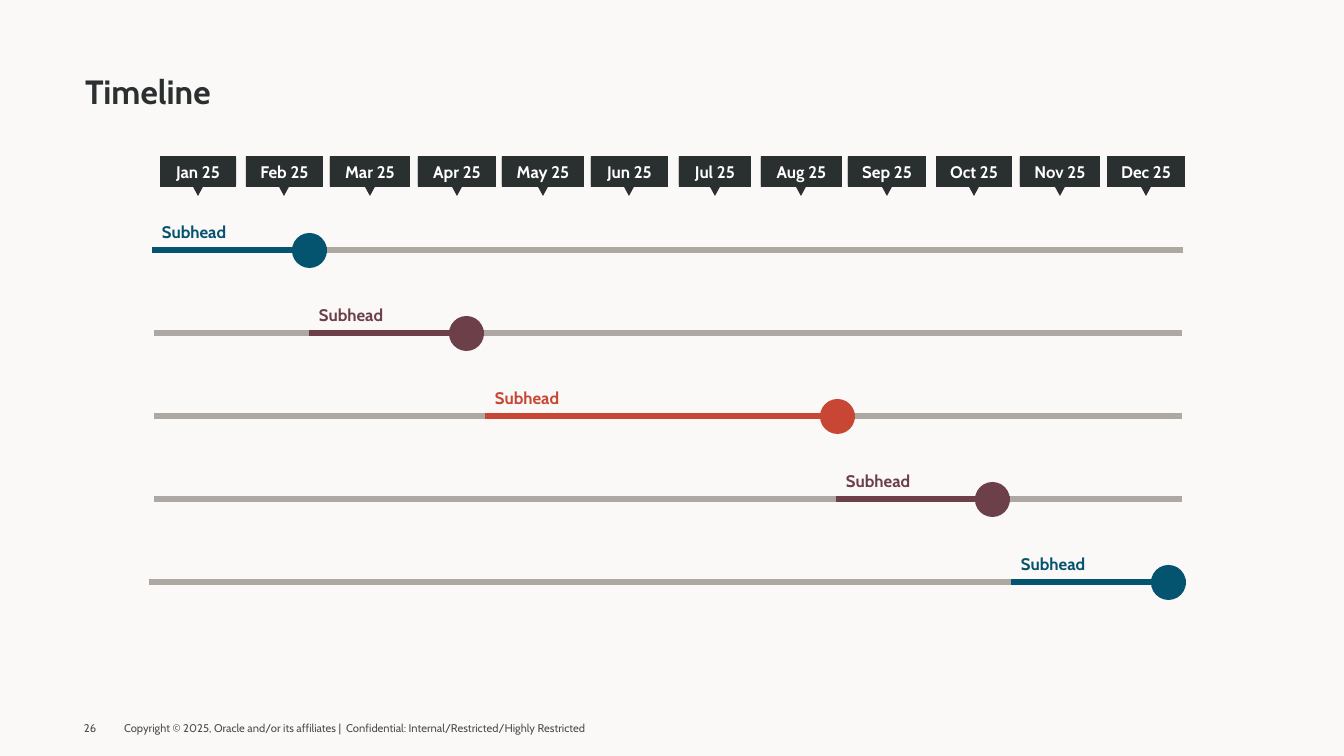
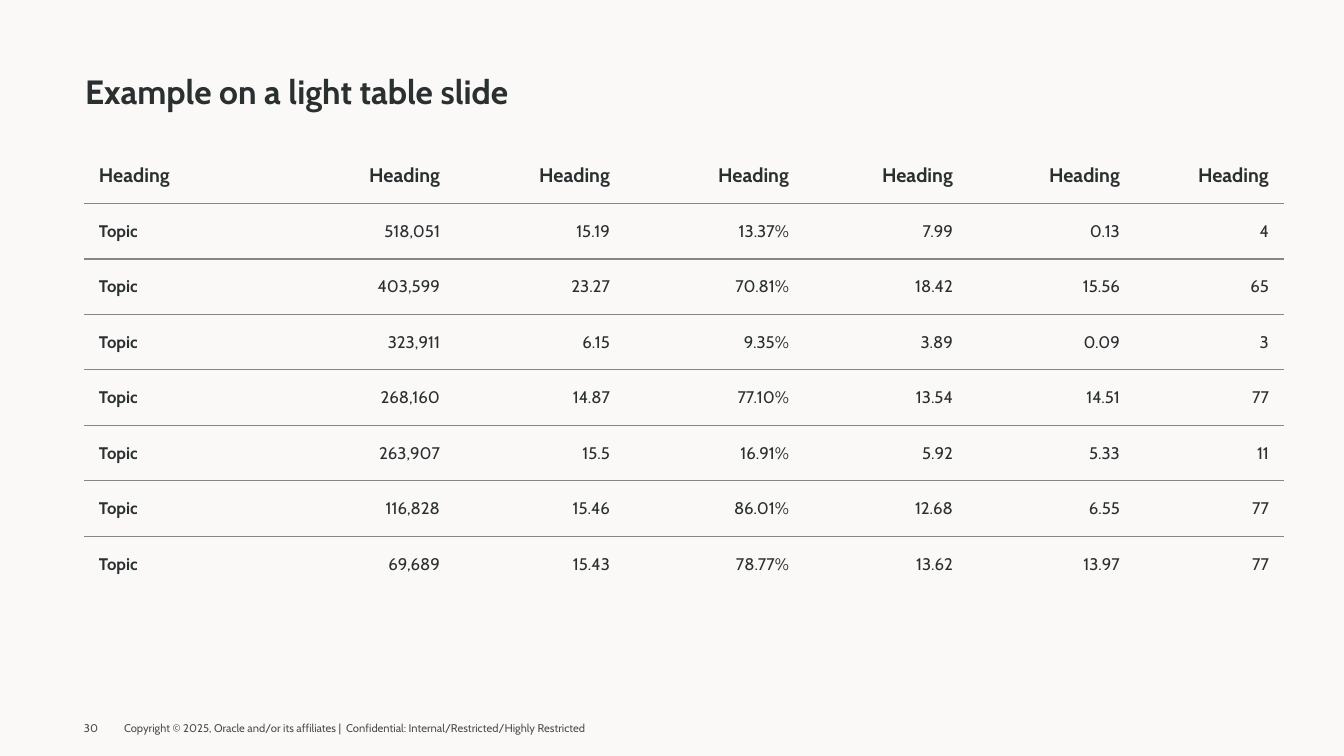
"""Build a month timeline slide and a light table slide."""
from lxml.etree import SubElement
from pptx import Presentation
from pptx.dml.color import RGBColor
from pptx.enum.shapes import MSO_CONNECTOR, MSO_SHAPE
from pptx.enum.text import MSO_ANCHOR, MSO_AUTO_SIZE, PP_ALIGN
from pptx.oxml.ns import qn
from pptx.util import Emu, Pt

PX = 12192000 / 1344
FONT = "Cabin"
PAPER = RGBColor(0xFB, 0xF9, 0xF8)
INK = RGBColor(0x2A, 0x2F, 0x2F)
WHITE = RGBColor(0xFF, 0xFF, 0xFF)
FOOTER_GREY = RGBColor(0x51, 0x4C, 0x47)
RAIL_GREY = RGBColor(0xAE, 0xA8, 0xA2)
RULE_GREY = RGBColor(0x8B, 0x85, 0x80)
TEAL = RGBColor(0x04, 0x53, 0x6F)
PLUM = RGBColor(0x6C, 0x3F, 0x49)
RED = RGBColor(0xC7, 0x46, 0x34)
NO_GRID_STYLE = "{2D5ABB26-0587-4C30-8999-92F81FD0307C}"
COPYRIGHT = ("Copyright © 2025, Oracle and/or its affiliates |  "
             "Confidential: Internal/Restricted/Highly Restricted")


def px(*lengths):
    return [Emu(round(length * PX)) for length in lengths]


def write(frame, text, size=12, color=INK, bold=False, align=PP_ALIGN.LEFT,
          anchor=MSO_ANCHOR.MIDDLE, inset=None, wrap=True):
    frame.word_wrap = wrap
    frame.auto_size = MSO_AUTO_SIZE.NONE
    frame.vertical_anchor = anchor
    if inset is not None:
        frame.margin_left = frame.margin_right = inset
        frame.margin_top = frame.margin_bottom = inset
    paragraph = frame.paragraphs[0]
    paragraph.alignment = align
    run = paragraph.add_run()
    run.text = text
    run.font.name = FONT
    run.font.size = Pt(size)
    run.font.bold = bold
    run.font.color.rgb = color


prs = Presentation()
prs.slide_width, prs.slide_height = px(1344, 756)
background = prs.slide_master.background.fill
background.solid()
background.fore_color.rgb = PAPER

slides = []
for heading, number in (("Timeline", "26"), ("Example on a light table slide", "30")):
    slide = prs.slides.add_slide(prs.slide_layouts[5])
    slides.append(slide)
    title = slide.shapes.title
    title.left, title.top, title.width, title.height = px(85, 20, 1176, 91)
    write(title.text_frame, heading, size=24, bold=True, anchor=MSO_ANCHOR.BOTTOM, inset=0)
    for text, left, width in ((number, 84, 40), (COPYRIGHT, 124, 633)):
        footer = slide.shapes.add_textbox(*px(left, 708, width, 40))
        write(footer.text_frame, text, size=8, color=FOOTER_GREY, inset=0)

timeline, table_slide = slides

MONTHS = (("Jan", 76), ("Feb", 77), ("Mar", 80), ("Apr", 78), ("May", 82), ("Jun", 77),
          ("Jul", 72), ("Aug", 81), ("Sep", 78), ("Oct", 76), ("Nov", 80), ("Dec", 78))
FIRST_CENTRE, LAST_CENTRE = 198, 1146
month_pitch = (LAST_CENTRE - FIRST_CENTRE) / (len(MONTHS) - 1)
calendar = timeline.shapes.add_group_shape().shapes
for index, (month, width) in enumerate(MONTHS):
    centre = round(FIRST_CENTRE + index * month_pitch)
    left, right = centre - width // 2, centre + width // 2
    outline = calendar.build_freeform(left, 158, scale=PX)
    outline.add_line_segments([(right, 158), (right, 185), (centre + 6, 185), (centre, 196),
                               (centre - 6, 185), (left, 185)])
    pointer = outline.convert_to_shape()
    month_label = calendar.add_shape(MSO_SHAPE.RECTANGLE, *px(left, 156, width, 31))
    for part in (pointer, month_label):
        part.shadow.inherit = False
        part.fill.solid()
        part.fill.fore_color.rgb = INK
        part.line.fill.background()
    write(month_label.text_frame, f"{month} 25", color=WHITE, bold=True,
          align=PP_ALIGN.CENTER, wrap=False)

PHASES = ((155, 152, 327, TEAL), (154, 309, 484, PLUM), (154, 485, 855, RED),
          (154, 836, 1010, PLUM), (149, 1011, 1186, TEAL))
RAIL_LENGTH, DOT = 1028, 35
for index, (rail_start, start, end, color) in enumerate(PHASES):
    y = 250 + 83 * index
    phase = timeline.shapes.add_group_shape().shapes
    for x1, x2, stroke in ((rail_start, rail_start + RAIL_LENGTH, RAIL_GREY),
                           (start, end, color)):
        bar = phase.add_connector(MSO_CONNECTOR.STRAIGHT, *px(x1, y, x2, y))
        bar.line.width = Pt(4.5)
        bar.line.color.rgb = stroke
        SubElement(bar.element.spPr, qn("a:effectLst"))
    milestone = phase.add_shape(MSO_SHAPE.OVAL, *px(end - DOT, y - 17, DOT, DOT))
    milestone.shadow.inherit = False
    milestone.fill.solid()
    milestone.fill.fore_color.rgb = color
    milestone.line.fill.background()
    subhead = phase.add_textbox(*px(start, y - 33, 93, 30))
    write(subhead.text_frame, "Subhead", color=color, bold=True,
          anchor=MSO_ANCHOR.BOTTOM, wrap=False)

ROWS = (
    ("Heading",) * 7,
    ("Topic", "518,051", "15.19", "13.37%", "7.99", "0.13", "4"),
    ("Topic", "403,599", "23.27", "70.81%", "18.42", "15.56", "65"),
    ("Topic", "323,911", "6.15", "9.35%", "3.89", "0.09", "3"),
    ("Topic", "268,160", "14.87", "77.10%", "13.54", "14.51", "77"),
    ("Topic", "263,907", "15.5", "16.91%", "5.92", "5.33", "11"),
    ("Topic", "116,828", "15.46", "86.01%", "12.68", "6.55", "77"),
    ("Topic", "69,689", "15.43", "78.77%", "13.62", "13.97", "77"),
)
COLUMN_WIDTHS = px(214, 157, 170, 179, 164, 167, 149)
TABLE_HEIGHT = 444
[cell_inset] = px(15)
[row_height] = px(TABLE_HEIGHT / len(ROWS))
table_frame = table_slide.shapes.add_table(len(ROWS), len(COLUMN_WIDTHS),
                                           *px(84, 148, 1200, TABLE_HEIGHT))
next(table_frame.element.iter(qn("a:tableStyleId"))).text = NO_GRID_STYLE
table = table_frame.table
table.horz_banding = False
for column, width in zip(table.columns, COLUMN_WIDTHS):
    column.width = width
for r, values in enumerate(ROWS):
    table.rows[r].height = row_height
    for c, value in enumerate(values):
        cell = table.cell(r, c)
        cell.margin_left = cell.margin_right = cell_inset
        cell.margin_top = cell.margin_bottom = cell_inset
        cell.vertical_anchor = MSO_ANCHOR.MIDDLE
        properties = cell._tc.get_or_add_tcPr()
        for edge, ruled in (("a:lnT", r > 0), ("a:lnB", r < len(ROWS) - 1)):
            if ruled:
                border = SubElement(properties, qn(edge), w=str(Pt(1)))
                paint = SubElement(border, qn("a:solidFill"))
                SubElement(paint, qn("a:srgbClr"), val=str(RULE_GREY))
        cell.fill.background()
        write(cell.text_frame, value, size=12 if r else 14, bold=r == 0 or c == 0,
              align=PP_ALIGN.RIGHT if c else PP_ALIGN.LEFT)

prs.save("out.pptx")
